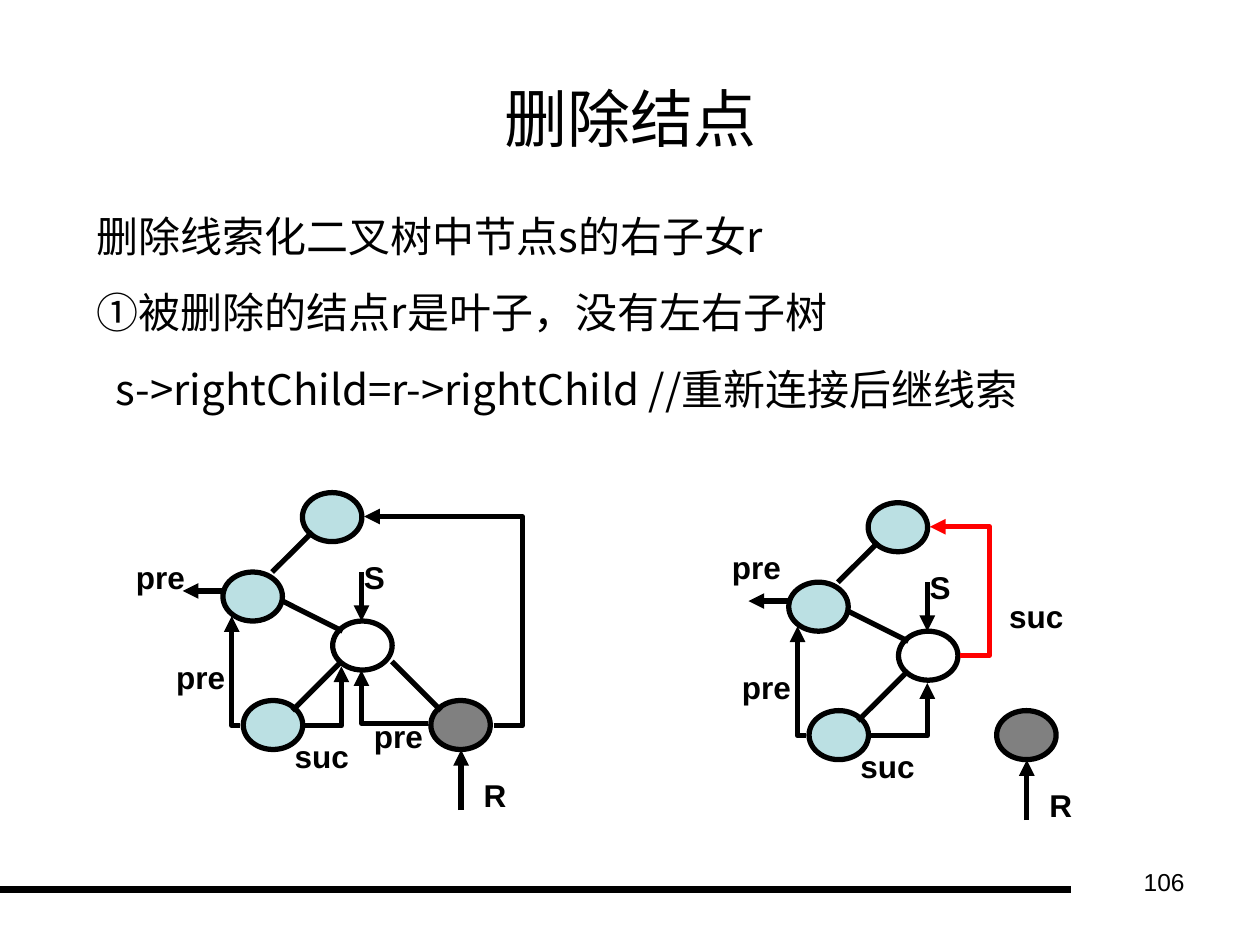
from lxml import etree
from pptx import Presentation
from pptx.dml.color import RGBColor
from pptx.enum.shapes import MSO_CONNECTOR, MSO_SHAPE
from pptx.enum.text import MSO_ANCHOR, PP_ALIGN
from pptx.oxml.ns import qn
from pptx.util import Pt

OVAL = MSO_SHAPE.OVAL
LINE, ELBOW = MSO_CONNECTOR.STRAIGHT, MSO_CONNECTOR.ELBOW
MIDDLE = MSO_ANCHOR.MIDDLE
LEFT, CENTER, RIGHT = PP_ALIGN.LEFT, PP_ALIGN.CENTER, PP_ALIGN.RIGHT
BLACK = RGBColor(0x00, 0x00, 0x00)
RED = RGBColor(0xFF, 0x00, 0x00)
AQUA = RGBColor(0xBB, 0xE0, 0xE3)
GRAY = RGBColor(0x80, 0x80, 0x80)
SANS, CJK = "Arial", "Noto Sans CJK SC"
NODE_W, NODE_H = 34, 28

TITLE = "删除结点"
BODY = [
    "删除线索化二叉树中节点s的右子女r",
    "①被删除的结点r是叶子，没有左右子树",
    "  s->rightChild=r->rightChild //重新连接后继线索",
]

# Tree parts, in points from the corner of the tree's box
NODES = [(68.4, 0, AQUA), (23, 45.4, AQUA), (85.7, 73.4, None),
         (34.6, 118.8, AQUA), (141.8, 118.8, GRAY)]
EDGES = [(74.2, 22.5, 51.1, 45.4), (56.9, 61.9, 91.4, 79.2),
         (90.7, 96.5, 62.6, 124.6)]
ARROWS = [(102.2, 45.4, 102.2, 73.4), (23, 56.2, 0, 56.2),
          (159.1, 181.4, 159.1, 147)]
LABELS = [("S", 96.5, 33.8), ("R", 164.9, 158.4),
          ("suc", 56.9, 136.1), ("pre", -10.8, 90.7)]
PRE_BEND = (33.1, 133.2, 28.1, 70.6)


def place(shape, box):
    shape.left, shape.top, shape.width, shape.height = map(Pt, box)


def style(para, size, name=SANS, bold=False, align=LEFT):
    para.alignment = align
    for run in para.runs:
        font = run.font
        font.size, font.name, font.bold = Pt(size), name, bold
        font.color.rgb = BLACK
        east = etree.SubElement(run._r.get_or_add_rPr(), qn("a:ea"))
        east.set("typeface", CJK)


def add_text(slide, box, text, size, bold=False, align=LEFT):
    shape = slide.shapes.add_textbox(*map(Pt, box))
    frame = shape.text_frame
    frame.word_wrap = True
    frame.text = text
    style(frame.paragraphs[0], size, bold=bold, align=align)


def add_line(slide, ends, color=BLACK, width=3, arrow=False, kind=LINE):
    line = slide.shapes.add_connector(kind, *map(Pt, ends))
    line.line.color.rgb = color
    line.line.width = Pt(width)
    if arrow:
        tail = etree.SubElement(line.line._get_or_add_ln(), qn("a:tailEnd"))
        tail.set("type", "triangle")
    etree.SubElement(line._element.spPr, qn("a:effectLst"))
    return line


def add_bend(slide, ends, color=BLACK, adjust=None):
    """Draw an elbow arrow: one corner, or two when adjust is given."""
    line = add_line(slide, ends, color, arrow=True, kind=ELBOW)
    geom = line._element.spPr.find(qn("a:prstGeom"))
    if adjust is None:
        geom.set("prst", "bentConnector2")
    else:
        guide = etree.SubElement(geom.find(qn("a:avLst")), qn("a:gd"))
        guide.set("name", "adj1")
        guide.set("fmla", f"val {round(adjust * 100000)}")


def add_title(slide, box):
    title = slide.shapes.title
    place(title, box)
    frame = title.text_frame
    frame.text = TITLE
    frame.vertical_anchor = MIDDLE
    style(frame.paragraphs[0], 36, align=CENTER)


def add_body(slide, box):
    body = slide.placeholders[1]
    place(body, box)
    frame = body.text_frame
    frame.text = "\n".join(BODY)
    for i, para in enumerate(frame.paragraphs):
        props = para._p.get_or_add_pPr()
        props.set("marL", "0")
        props.set("indent", "0")
        etree.SubElement(props, qn("a:buNone"))
        para.space_before = Pt(15 if i else 0)
        style(para, 24, CJK)


def add_tree(slide, box, bends, edges, labels):
    """Draw the shared tree, then the threads, edges and labels of one state."""
    left, top = box

    def shift(ends):
        x1, y1, x2, y2 = ends
        return left + x1, top + y1, left + x2, top + y2

    for x, y, fill in NODES:
        node = slide.shapes.add_shape(
            OVAL, *map(Pt, (left + x, top + y, NODE_W, NODE_H)))
        node.shadow.inherit = False
        node.line.color.rgb = BLACK
        node.line.width = Pt(3)
        if fill is None:
            node.fill.background()
        else:
            node.fill.solid()
            node.fill.fore_color.rgb = fill
    for ends in EDGES + edges:
        add_line(slide, shift(ends))
    for ends in ARROWS:
        add_line(slide, shift(ends), arrow=True)
    for ends, *look in [(PRE_BEND,)] + bends:
        add_bend(slide, shift(ends), *look)
    for text, x, y in LABELS + labels:
        width = 28 if len(text) == 1 else 57
        add_text(slide, (left + x, top + y, width, 29), text, 18, bold=True)


def add_footer(slide, box):
    left, top, width, height = box
    add_line(slide, (left, top + 16.5, left + 612, top + 16.5), width=4.5)
    add_text(slide, (left + width - 168, top, 168, height), "106", 14,
             align=RIGHT)


def main():
    deck = Presentation()
    deck.slide_width, deck.slide_height = Pt(720), Pt(540)
    slide = deck.slides.add_slide(deck.slide_layouts[1])
    add_footer(slide, (0, 491.8, 684, 37.4))
    add_title(slide, (36, 46.8, 648, 40.3))
    add_body(slide, (48.2, 116.6, 635.8, 123.8))
    add_tree(
        slide, (104.4, 281.5),
        bends=[((69.8, 133.2, 90.7, 99.4),),
               ((177.8, 133.2, 103.7, 13.7), BLACK, -0.22),
               ((140.4, 131.8, 102.2, 101.5),)],
        edges=[(119.5, 96.5, 147.6, 124.6)],
        labels=[("pre", -33.8, 33.8), ("pre", 102.2, 124.6)])
    add_tree(
        slide, (427.7, 287.3),
        bends=[((69.8, 133.2, 102.2, 103),),
               ((121, 87.1, 103.7, 13.7), RED, -0.97)],
        edges=[],
        labels=[("pre", -16.6, 22.3), ("suc", 141.8, 50.4)])
    deck.save("out.pptx")


if __name__ == "__main__":
    main()
